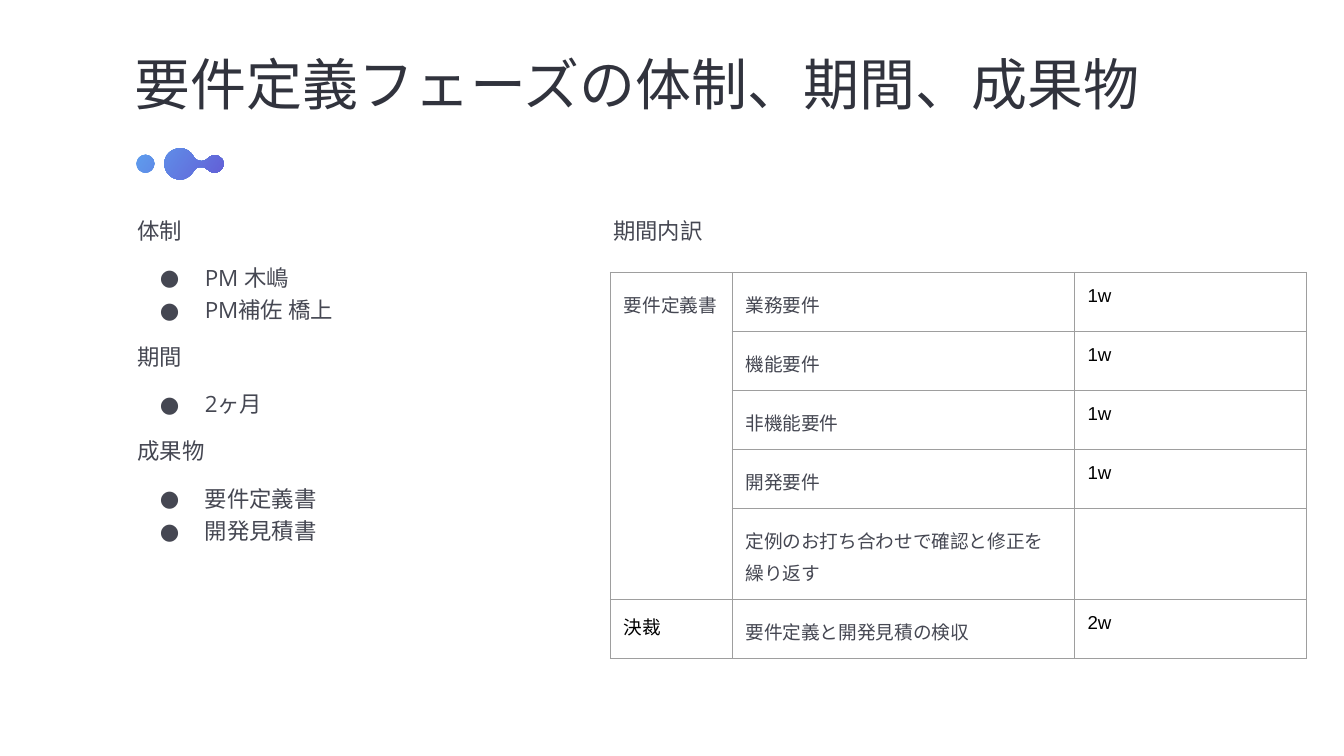
"""Build a slide on the team, duration and deliverables of the requirements phase."""
from dataclasses import dataclass

from lxml.etree import SubElement
from pptx import Presentation
from pptx.dml.color import RGBColor
from pptx.enum.text import MSO_ANCHOR as Anchor
from pptx.oxml.ns import qn
from pptx.util import Pt

INK = RGBColor(0x31, 0x33, 0x3D)
BODY = RGBColor(0x45, 0x47, 0x52)
BLACK = RGBColor(0x00, 0x00, 0x00)
GRID = RGBColor(0x9E, 0x9E, 0x9E)
SKY = RGBColor(0x5E, 0x9E, 0xEE)
VIOLET = RGBColor(0x63, 0x5E, 0xD6)

Point = tuple[float, float]
Curve = tuple[Point, Point, Point]


@dataclass(frozen=True)
class TextStyle:
    font: str
    size: float
    color: RGBColor
    line_spacing: float | None = None
    space_before: float = 0


@dataclass(frozen=True)
class TextArea:
    left: float
    top: float
    width: float
    height: float
    style: TextStyle
    anchor: Anchor = Anchor.TOP


@dataclass(frozen=True)
class Section:
    heading: str
    items: tuple[str, ...] = ()


@dataclass(frozen=True)
class Task:
    name: str
    weeks: str = ""
    height: float = 31.6


@dataclass(frozen=True)
class Contour:
    start: Point
    curves: list[Curve]


TITLE = TextStyle("Arial", 30, INK)
OUTLINE = TextStyle("Open Sans", 12, BODY, 1.2, 8)
TASK = TextStyle("Open Sans", 10, BODY, 1.2, 8)
PLAIN = TextStyle("Arial", 10, BLACK)

SECTIONS = [
    Section("体制", ("PM 木嶋", "PM補佐 橋上")),
    Section("期間", ("2ヶ月",)),
    Section("成果物", ("要件定義書", "開発見積書")),
]
TASKS = [
    Task("業務要件", "1w"),
    Task("機能要件", "1w"),
    Task("非機能要件", "1w"),
    Task("開発要件", "1w"),
    Task("定例のお打ち合わせで確認と修正を繰り返す", height=48.75),
    Task("要件定義と開発見積の検収", "2w"),
]
COLUMN_WIDTHS = (65.25, 183.25, 124.5)

BLOB = Contour((96.5, 79.4), [
    ((92, 79.4), (88, 82.9), (88, 87.6)),
    ((88, 92.2), (91.5, 96), (96.2, 96.2)),
    ((99.4, 96.4), (102, 94.5), (103.7, 91.8)),
    ((104.4, 90.6), (105.4, 89.7), (106.6, 89.5)),
    ((108.4, 89.1), (110.2, 89.6), (111.4, 91)),
    ((114.3, 94.1), (119.8, 92.2), (119.8, 87.7)),
    ((119.8, 83.5), (114.6, 81.4), (111.5, 84.7)),
    ((110.4, 85.8), (109.2, 86.4), (108, 86.3)),
    ((106, 86.3), (104.4, 85.2), (103.5, 83.5)),
    ((102.1, 81), (99.6, 79.4), (96.5, 79.4)),
])


def style_paragraph(paragraph, style: TextStyle) -> None:
    paragraph.line_spacing = style.line_spacing
    paragraph.space_before = Pt(style.space_before)
    for span in paragraph.runs:
        span.font.name = style.font
        span.font.size = Pt(style.size)
        span.font.color.rgb = style.color


def add_bullet(paragraph, style: TextStyle) -> None:
    properties = paragraph._p.get_or_add_pPr()
    properties.set("marL", str(Pt(36)))
    properties.set("indent", str(Pt(-24)))
    bullet_color = SubElement(properties, qn("a:buClr"))
    SubElement(bullet_color, qn("a:srgbClr"), val=str(style.color))
    SubElement(properties, qn("a:buSzPts"), val=str(style.size * 100))
    SubElement(properties, qn("a:buFont"), typeface=style.font)
    SubElement(properties, qn("a:buChar"), char="●")


def add_text(page, area: TextArea, sections: list[Section]) -> None:
    box = page.shapes.add_textbox(Pt(area.left), Pt(area.top), Pt(area.width), Pt(area.height))
    frame = box.text_frame
    frame.word_wrap = True
    frame.vertical_anchor = area.anchor
    frame.margin_left = frame.margin_right = frame.margin_top = frame.margin_bottom = Pt(1.5)
    frame.text = "\n".join(line for section in sections for line in (section.heading, *section.items))
    paragraphs = iter(frame.paragraphs)
    for section in sections:
        style_paragraph(next(paragraphs), area.style)
        for position, _ in enumerate(section.items):
            paragraph = next(paragraphs)
            style_paragraph(paragraph, area.style)
            if position:
                paragraph.space_before = Pt(0)
            add_bullet(paragraph, area.style)


def circle(x: float, y: float, radius: float) -> Contour:
    handle = 0.55 * radius
    curves = []
    for across, down in ((1, 0), (0, 1), (-1, 0), (0, -1)):
        start = (x + across * radius, y + down * radius)
        end = (x - down * radius, y + across * radius)
        curves.append((
            (start[0] - down * handle, start[1] + across * handle),
            (end[0] + across * handle, end[1] + down * handle),
            end,
        ))
    return Contour((x + radius, y), curves)


def add_ornament(page, contours: list[Contour]) -> None:
    first = contours[0].start
    builder = page.shapes.build_freeform(Pt(first[0]), Pt(first[1]))
    for contour in contours:
        if contour is not contours[0]:
            builder.move_to(Pt(contour.start[0]), Pt(contour.start[1]))
        builder.add_line_segments([(Pt(x), Pt(y)) for _, _, (x, y) in contour.curves], close=True)
    shape = builder.convert_to_shape()
    curves = [curve for contour in contours for curve in contour.curves]
    for segment, curve in zip(list(shape._element.iter(qn("a:lnTo"))), curves):
        segment.tag = qn("a:cubicBezTo")
        for child in list(segment):
            segment.remove(child)
        for x, y in curve:
            SubElement(segment, qn("a:pt"), x=str(Pt(x) - shape.left), y=str(Pt(y) - shape.top))
    shape.shadow.inherit = False
    shape.line.fill.background()
    shape.fill.gradient()
    shape.fill.gradient_angle = 326
    for stop, color, position in zip(shape.fill.gradient_stops, (SKY, VIOLET), (0, 1)):
        stop.color.rgb = color
        stop.position = position


def format_cell(cell) -> None:
    cell.margin_left = cell.margin_right = cell.margin_top = cell.margin_bottom = Pt(7.2)
    properties = cell._tc.get_or_add_tcPr()
    for side in ("a:lnL", "a:lnR", "a:lnT", "a:lnB"):
        border = SubElement(properties, qn(side), w=str(Pt(0.75)))
        fill = SubElement(border, qn("a:solidFill"))
        SubElement(fill, qn("a:srgbClr"), val=str(GRID))
    cell.fill.background()


def write_cell(cell, text: str, style: TextStyle) -> None:
    cell.text = text
    style_paragraph(cell.text_frame.paragraphs[0], style)


def add_schedule(page, left: float, top: float) -> None:
    last = len(TASKS) - 1
    height = sum(task.height for task in TASKS)
    table = page.shapes.add_table(
        len(TASKS), len(COLUMN_WIDTHS), Pt(left), Pt(top), Pt(sum(COLUMN_WIDTHS)), Pt(height)
    ).table
    table.first_row = table.horz_banding = False
    for column, width in zip(table.columns, COLUMN_WIDTHS):
        column.width = Pt(width)
    for cell in table.iter_cells():
        format_cell(cell)
    for index, task in enumerate(TASKS):
        table.rows[index].height = Pt(task.height)
        write_cell(table.cell(index, 1), task.name, TASK)
        write_cell(table.cell(index, 2), task.weeks, PLAIN)
    table.cell(0, 0).merge(table.cell(last - 1, 0))
    write_cell(table.cell(0, 0), "要件定義書", TASK)
    write_cell(table.cell(last, 0), "決裁", PLAIN)


def main() -> None:
    deck = Presentation()
    deck.slide_width, deck.slide_height = Pt(720), Pt(405)
    page = deck.slides.add_slide(deck.slide_layouts[6])
    title = Section("要件定義フェーズの体制、期間、成果物")
    add_text(page, TextArea(70.5, 25.6, 567.5, 38, TITLE, Anchor.MIDDLE), [title])
    add_text(page, TextArea(72.2, 111.8, 250, 186, OUTLINE), SECTIONS)
    add_ornament(page, [BLOB, circle(77.9, 87.7, 4.8)])
    add_schedule(page, 327, 146)
    add_text(page, TextArea(327, 111.8, 250, 34, OUTLINE), [Section("期間内訳")])
    deck.save("out.pptx")


if __name__ == "__main__":
    main()
